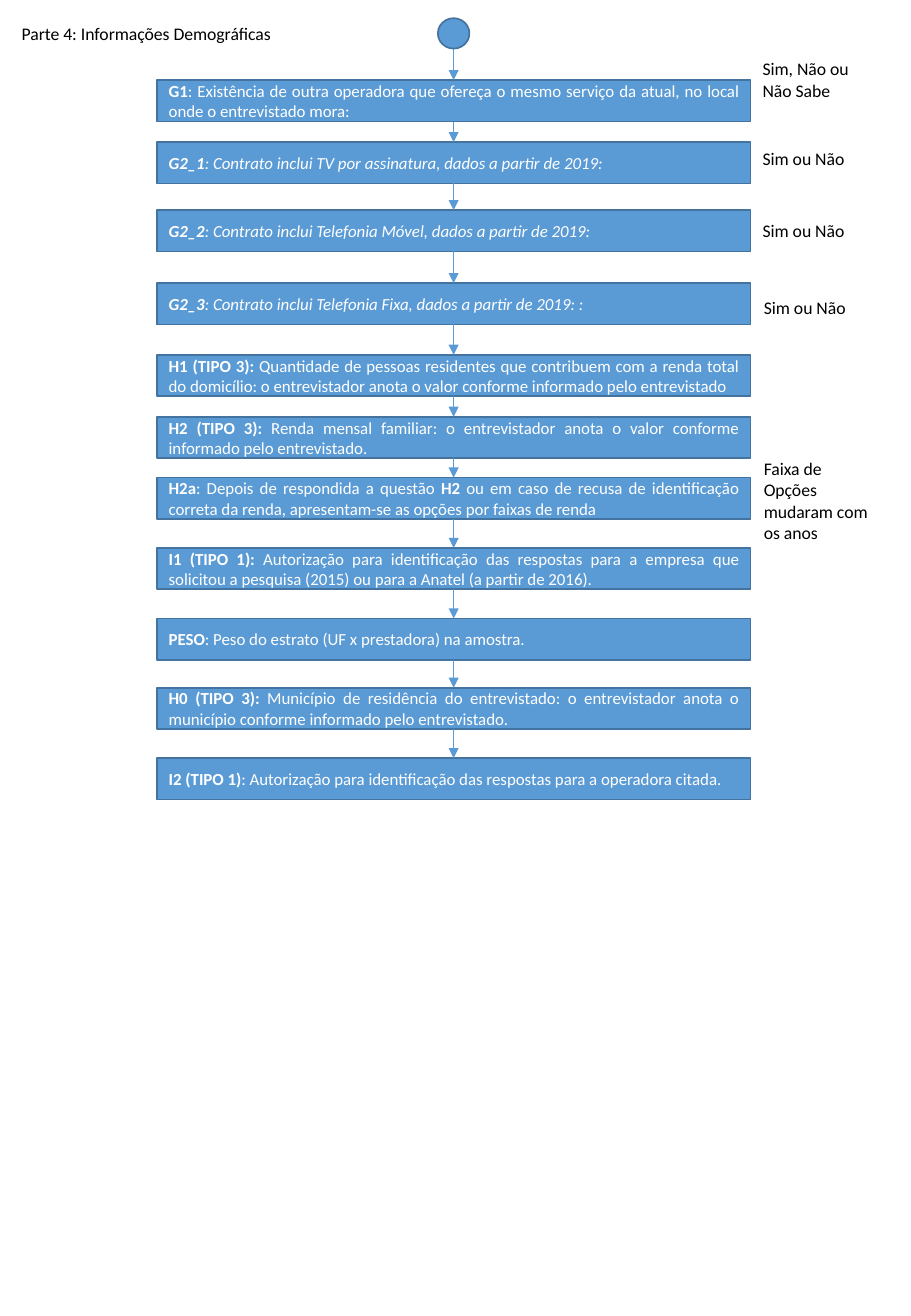
from dataclasses import dataclass

from lxml.etree import SubElement
from pptx import Presentation
from pptx.dml.color import RGBColor
from pptx.enum.shapes import MSO_CONNECTOR, MSO_SHAPE
from pptx.enum.text import MSO_ANCHOR, MSO_AUTO_SIZE, PP_ALIGN
from pptx.oxml.ns import qn
from pptx.util import Inches, Pt


@dataclass(frozen=True)
class Theme:
    font: str = "Calibri"
    blue: RGBColor = RGBColor(0x5B, 0x9B, 0xD5)
    outline: RGBColor = RGBColor(0x43, 0x73, 0x9E)
    white: RGBColor = RGBColor(0xFF, 0xFF, 0xFF)
    black: RGBColor = RGBColor(0x00, 0x00, 0x00)
    question_size: Pt = Pt(10)
    note_size: Pt = Pt(10.5)
    outline_width: Pt = Pt(1)
    arrow_width: Pt = Pt(0.5)


theme = Theme()

BOX_LEFT, BOX_WIDTH, BOX_HEIGHT = 1.29, 4.89, 0.34
CENTER = BOX_LEFT + BOX_WIDTH / 2
START_TOP, START_WIDTH, START_HEIGHT = 0.15, 0.26, 0.25

# Top, italic, then text pieces alternating between bold and regular
questions = [
    (0.66, False, ["G1", ": Existência de outra operadora que ofereça o mesmo serviço da atual, "
                   "no local onde o entrevistado mora:"]),
    (1.17, True, ["G2_1", ": Contrato inclui TV por assinatura, dados a partir de 2019:"]),
    (1.73, True, ["G2_2", ": Contrato inclui Telefonia Móvel, dados a partir de 2019:"]),
    (2.33, True, ["G2_3", ": Contrato inclui Telefonia Fixa, dados a partir de 2019: :"]),
    (2.92, False, ["H1 (TIPO 3): ", "Quantidade de pessoas residentes que contribuem com a renda "
                   "total do domicílio: o entrevistador anota o valor conforme informado pelo "
                   "entrevistado"]),
    (3.43, False, ["H2 (TIPO 3): ", "Renda mensal familiar: o entrevistador anota o valor "
                   "conforme informado pelo entrevistado."]),
    (3.93, False, ["H2a", ": Depois de respondida a questão ", "H2 ", "ou em caso de recusa de "
                   "identificação correta da renda, apresentam-se as opções por faixas de renda"]),
    (4.51, False, ["I1 (TIPO 1): ", "Autorização para identificação das respostas para a empresa "
                   "que solicitou a pesquisa (2015) ou para a Anatel (a partir de 2016)."]),
    (5.09, False, ["PESO", ": Peso do estrato (UF x prestadora) na amostra."]),
    (5.66, False, ["H0 (TIPO 3): ", "Município de residência do entrevistado: o entrevistador "
                   "anota o município conforme informado pelo entrevistado."]),
    (6.24, False, ["I2 (TIPO 1)", ": Autorização para identificação das respostas para a "
                   "operadora citada."]),
]

# Left, top, width, height, text
notes = [
    (0.08, 0.14, 2.31, 0.29, "Parte 4: Informações Demográficas"),
    (6.18, 0.43, 1.15, 0.45, "Sim, Não ou Não Sabe"),
    (6.18, 1.17, 0.91, 0.29, "Sim ou Não"),
    (6.18, 1.76, 0.91, 0.29, "Sim ou Não"),
    (6.19, 2.39, 0.91, 0.29, "Sim ou Não"),
    (6.19, 3.72, 1.13, 0.81, "Faixa de Opções mudaram com os anos"),
]

presentation = Presentation()
presentation.slide_width = Inches(7.5)
presentation.slide_height = Inches(10.83)
slide = presentation.slides.add_slide(presentation.slide_layouts[6])


def add_blue_shape(kind, left, top, width, height):
    shape = slide.shapes.add_shape(kind, Inches(left), Inches(top), Inches(width), Inches(height))
    shape.shadow.inherit = False
    shape.fill.solid()
    shape.fill.fore_color.rgb = theme.blue
    shape.line.color.rgb = theme.outline
    shape.line.width = theme.outline_width
    return shape


def format_run(run, size, color):
    run.font.name = theme.font
    run.font.size = size
    run.font.color.rgb = color


add_blue_shape(MSO_SHAPE.OVAL, CENTER - START_WIDTH / 2, START_TOP, START_WIDTH, START_HEIGHT)

previous_box = None
for top, italic, pieces in questions:
    box = add_blue_shape(MSO_SHAPE.RECTANGLE, BOX_LEFT, top, BOX_WIDTH, BOX_HEIGHT)
    box.text_frame.word_wrap = True
    box.text_frame.vertical_anchor = MSO_ANCHOR.MIDDLE
    paragraph = box.text_frame.paragraphs[0]
    paragraph.alignment = PP_ALIGN.JUSTIFY
    for index, piece in enumerate(pieces):
        run = paragraph.add_run()
        run.text = piece
        format_run(run, theme.question_size, theme.white)
        run.font.bold = index % 2 == 0
        run.font.italic = italic

    arrow = slide.shapes.add_connector(
        MSO_CONNECTOR.STRAIGHT, Inches(CENTER), Inches(START_TOP + START_HEIGHT),
        Inches(CENTER), Inches(top))
    if previous_box is not None:
        arrow.begin_connect(previous_box, 2)
    arrow.end_connect(box, 0)
    arrow.line.color.rgb = theme.blue
    arrow.line.width = theme.arrow_width
    SubElement(arrow.line._get_or_add_ln(), qn("a:tailEnd"), type="triangle")
    SubElement(arrow._element.spPr, qn("a:effectLst"))
    previous_box = box

for left, top, width, height, text in notes:
    note = slide.shapes.add_textbox(Inches(left), Inches(top), Inches(width), Inches(height))
    note.text_frame.word_wrap = True
    note.text_frame.auto_size = MSO_AUTO_SIZE.SHAPE_TO_FIT_TEXT
    note.text_frame.text = text
    format_run(note.text_frame.paragraphs[0].runs[0], theme.note_size, theme.black)

presentation.save("out.pptx")
